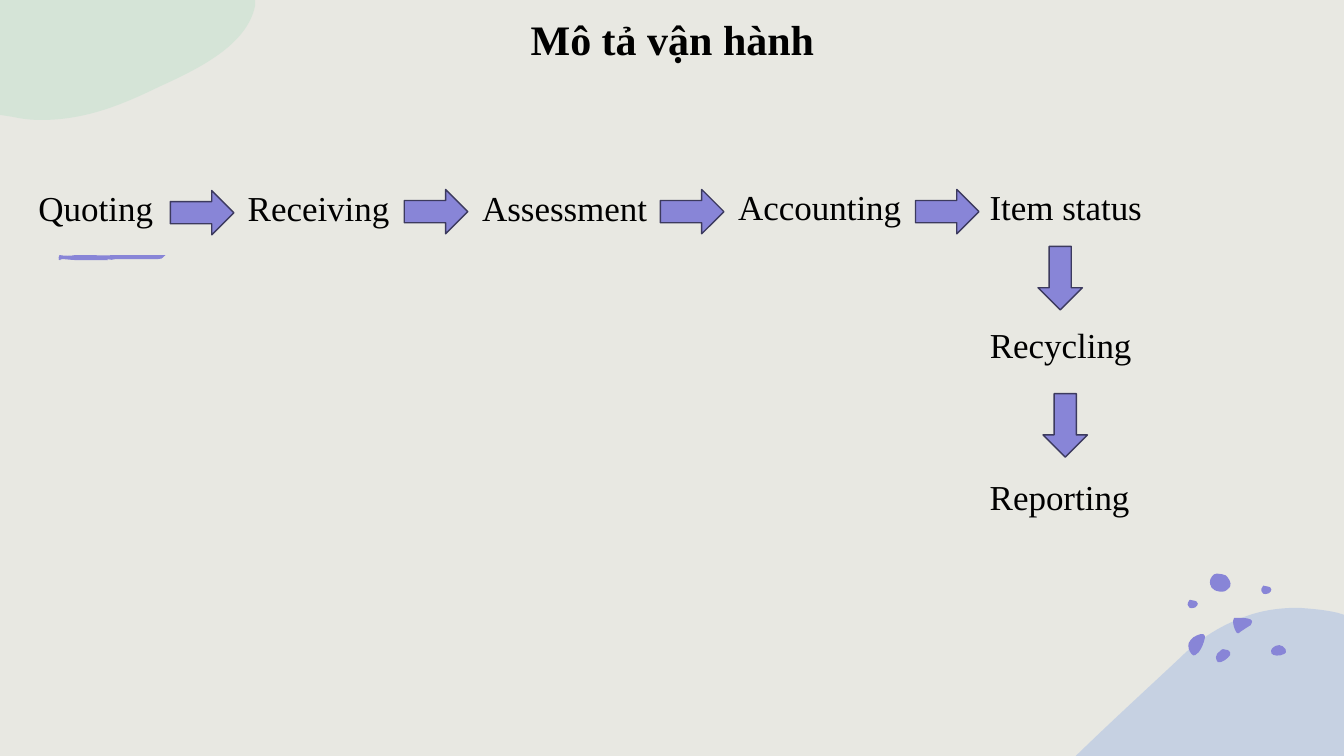
from lxml import etree
from pptx import Presentation
from pptx.dml.color import RGBColor
from pptx.enum.shapes import MSO_SHAPE
from pptx.enum.text import MSO_ANCHOR, MSO_AUTO_SIZE, PP_ALIGN
from pptx.oxml.ns import qn
from pptx.util import Inches, Pt

ARROW = MSO_SHAPE.RIGHT_ARROW
BOTTOM, CENTER, NO_FIT = MSO_ANCHOR.BOTTOM, PP_ALIGN.CENTER, MSO_AUTO_SIZE.NONE

COLORS = {"page": "E8E8E2", "text": "000000", "violet": "8885D7",
          "edge": "3C3A5E", "blue": "A6BCE2", "green": "C3E1CE"}
FONT = "Times New Roman"

TITLE = ("Mô tả vận hành", (2.6, 0, 8.14, 0.68), {"size": Pt(30), "bold": True})
LABEL_SIZE = (1.9, 0.68)
LABEL_FORMAT = {"size": Pt(25), "bold": False}
STEPS = [("Quoting", 0, 1.64), ("Receiving", 2.21, 1.64),
         ("Assessment", 4.65, 1.64), ("Accounting", 7.18, 1.63),
         ("Item status", 9.62, 1.63), ("Recycling", 9.57, 3),
         ("Reporting", 9.56, 4.5)]
ARROW_SIZE = (0.63, 0.44)
ARROWS = [(1.69, 1.89, 0), (4.01, 1.88, 0), (6.55, 1.88, 0), (9.08, 1.88, 0),
          (10.2, 2.54, 90), (10.25, 4, 90)]

# Each outline: colour, opacity, start, then lines (x, y) or cubic curves (six numbers).
BLUE_HILL = ("blue", 50, (12.88, 6.03), [
    (13.01, 6.04, 13.14, 6.05, 13.27, 6.08), (13.33, 6.1), (13.33, 7.5), (10.67, 7.5),
    (10.68, 7.49), (11.02, 7.16, 11.37, 6.84, 11.69, 6.54),
    (11.91, 6.32, 12.14, 6.19, 12.37, 6.11), (12.54, 6.05, 12.71, 6.03, 12.88, 6.03)])
GREEN_CORNER = ("green", 50, (0, 0), [
    (2.53, 0), (2.53, 0.06), (2.45, 0.44, 2, 0.67, 1.58, 0.86),
    (1.23, 1.03, 0.86, 1.19, 0.41, 1.19), (0.31, 1.19, 0.22, 1.18, 0.13, 1.16),
    (0, 1.14), (0, 0)])
BRUSH_STROKES = [
    ((0.58, 2.57), [(0.59, 2.57), (0.6, 2.57), (0.59, 2.58)]),
    ((0.6, 2.57), [(0.61, 2.57), (0.6, 2.58)]),
    ((1.63, 2.53), [(1.64, 2.53), (1.63, 2.54)]),
    ((0.59, 2.53), [
        (0.64, 2.54, 0.7, 2.54, 0.75, 2.53), (0.77, 2.53), (0.88, 2.53),
        (0.94, 2.53, 1.06, 2.54, 1.11, 2.53), (1.33, 2.53), (1.55, 2.53), (1.64, 2.53),
        (1.61, 2.54, 1.63, 2.57, 1.57, 2.57), (1.49, 2.57), (1.33, 2.57), (1.24, 2.57),
        (1.15, 2.57), (1.12, 2.58, 1.09, 2.58, 1.06, 2.57), (1.07, 2.58), (0.92, 2.58),
        (0.86, 2.58), (0.79, 2.58), (0.75, 2.58), (0.71, 2.58, 0.65, 2.57, 0.6, 2.57),
        (0.57, 2.58, 0.58, 2.54, 0.59, 2.53)])]
PEBBLE = [(0, 0, 0, -0.04, 0.02, -0.05), (0.04, -0.05, 0.05, -0.05, 0.07, -0.04),
          (0.08, -0.04, 0.1, -0.03, 0.1, -0.01), (0.1, 0, 0.09, 0.02, 0.08, 0.02),
          (0.08, 0.02, 0.08, 0.03, 0.06, 0.03), (0.05, 0.03, 0.03, 0.04, 0.02, 0.03),
          (0.01, 0.01, 0, 0.01, 0, 0)]
PEBBLE_STARTS = [(12.51, 5.86), (11.78, 6)]
SPOTS = [
    ((12.13, 6.44), [
        (12.15, 6.44, 12.16, 6.44, 12.18, 6.45), (12.2, 6.46, 12.21, 6.48, 12.2, 6.5),
        (12.18, 6.53, 12.12, 6.58, 12.08, 6.57), (12.07, 6.56, 12.06, 6.54, 12.06, 6.52),
        (12.06, 6.5, 12.08, 6.47, 12.1, 6.46), (12.11, 6.45, 12.12, 6.44, 12.13, 6.44)]),
    ((11.91, 6.29), [
        (11.93, 6.29, 11.95, 6.29, 11.95, 6.31), (11.95, 6.32, 11.95, 6.32, 11.95, 6.33),
        (11.94, 6.38, 11.92, 6.43, 11.89, 6.47), (11.87, 6.49, 11.84, 6.52, 11.82, 6.49),
        (11.79, 6.46, 11.78, 6.41, 11.79, 6.38), (11.8, 6.35, 11.82, 6.34, 11.84, 6.32),
        (11.85, 6.32, 11.88, 6.29, 11.91, 6.29)]),
    ((12.69, 6.4), [
        (12.71, 6.4, 12.74, 6.42, 12.75, 6.44), (12.76, 6.46, 12.76, 6.48, 12.73, 6.49),
        (12.7, 6.51, 12.62, 6.51, 12.61, 6.48), (12.6, 6.46, 12.61, 6.44, 12.62, 6.43),
        (12.64, 6.41, 12.66, 6.4, 12.69, 6.4)]),
    ((12.01, 5.81), [
        (12, 5.81, 11.99, 5.75, 12.02, 5.72), (12.04, 5.7, 12.04, 5.69, 12.07, 5.69),
        (12.1, 5.69, 12.14, 5.7, 12.16, 5.71), (12.18, 5.73, 12.22, 5.78, 12.2, 5.82),
        (12.17, 5.85, 12.16, 5.87, 12.12, 5.87), (12.09, 5.87, 12.04, 5.86, 12.03, 5.84),
        (12.01, 5.83, 12.01, 5.82, 12.01, 5.81)]),
    ((12.28, 6.13), [
        (12.34, 6.13, 12.45, 6.13, 12.41, 6.19), (12.41, 6.2, 12.4, 6.21, 12.39, 6.21),
        (12.36, 6.23, 12.33, 6.25, 12.3, 6.27), (12.29, 6.28, 12.28, 6.29, 12.27, 6.28),
        (12.27, 6.28, 12.26, 6.27, 12.26, 6.27), (12.24, 6.23, 12.23, 6.2, 12.23, 6.16),
        (12.23, 6.15, 12.23, 6.14, 12.24, 6.13), (12.24, 6.13, 12.25, 6.13, 12.25, 6.13),
        (12.26, 6.13, 12.27, 6.13, 12.28, 6.13)]),
]


def color(name):
    return RGBColor.from_string(COLORS[name])


def bend(shape, segments):
    left, top = shape.left, shape.top
    for line, segment in zip(list(shape._element.iter(qn("a:lnTo"))), segments):
        if len(segment) == 2:
            continue
        curve = etree.Element(qn("a:cubicBezTo"))
        for x, y in zip(segment[::2], segment[1::2]):
            point = etree.SubElement(curve, qn("a:pt"))
            point.set("x", str(Inches(x) - left))
            point.set("y", str(Inches(y) - top))
        line.getparent().replace(line, curve)


def draw_outline(page, fill, opacity, start, segments):
    builder = page.shapes.build_freeform(*map(Inches, start))
    ends = [tuple(map(Inches, segment[-2:])) for segment in segments]
    builder.add_line_segments(ends, close=True)
    shape = builder.convert_to_shape()
    bend(shape, segments)
    shape.shadow.inherit = False
    shape.fill.solid()
    shape.fill.fore_color.rgb = color(fill)
    shape.line.fill.background()
    if opacity < 100:
        tint = shape._element.spPr.find(qn("a:solidFill"))[0]
        etree.SubElement(tint, qn("a:alpha")).set("val", str(opacity * 1000))


def draw_arrow(page, left, top, angle):
    arrow = page.shapes.add_shape(ARROW, *map(Inches, (left, top, *ARROW_SIZE)))
    arrow.rotation = angle
    arrow.shadow.inherit = False
    arrow.fill.solid()
    arrow.fill.fore_color.rgb = color("violet")
    arrow.line.color.rgb = color("edge")
    arrow.line.width = Pt(1)


def write(box, text, font_format):
    frame = box.text_frame
    for name, value in {"word_wrap": True, "auto_size": NO_FIT,
                        "vertical_anchor": BOTTOM}.items():
        setattr(frame, name, value)
    para = frame.paragraphs[0]
    para.alignment = CENTER
    span = para.add_run()
    span.text = text
    for name, value in {"name": FONT, **font_format}.items():
        setattr(span.font, name, value)
    span.font.color.rgb = color("text")


def main():
    deck = Presentation()
    deck.slide_width, deck.slide_height = Inches(13.33), Inches(7.5)
    page = deck.slides.add_slide(deck.slide_layouts[5])
    page.background.fill.solid()
    page.background.fill.fore_color.rgb = color("page")

    pebbles = [((x, y), [tuple(value + (x, y)[i % 2] for i, value in enumerate(curve))
                         for curve in PEBBLE]) for x, y in PEBBLE_STARTS]
    spots = [("violet", 100, *spot) for spot in SPOTS + pebbles]
    strokes = [("violet", 100, *stroke) for stroke in BRUSH_STROKES]
    for outline in [BLUE_HILL, *spots, GREEN_CORNER, *strokes]:
        draw_outline(page, *outline)

    text, place, title_format = TITLE
    title = page.shapes.title
    for name, value in zip(("left", "top", "width", "height"), place):
        setattr(title, name, Inches(value))
    write(title, text, title_format)

    for arrow in ARROWS:
        draw_arrow(page, *arrow)
    for text, left, top in STEPS:
        box = page.shapes.add_textbox(*map(Inches, (left, top, *LABEL_SIZE)))
        write(box, text, LABEL_FORMAT)
    deck.save("out.pptx")


if __name__ == "__main__":
    main()
